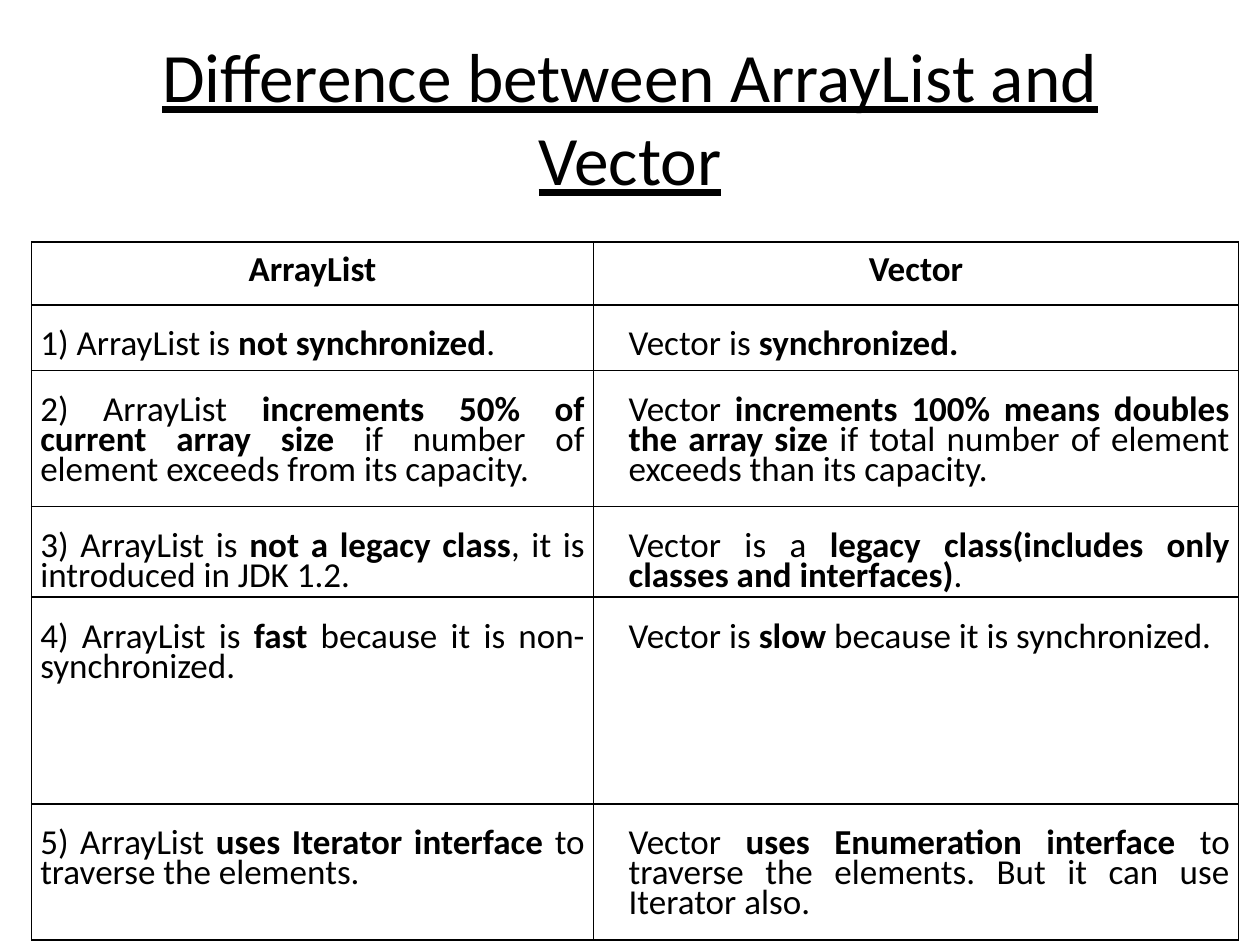
from dataclasses import dataclass

from lxml import etree
from pptx import Presentation
from pptx.dml.color import RGBColor
from pptx.enum.text import MSO_ANCHOR, PP_ALIGN
from pptx.oxml.ns import qn
from pptx.util import Inches, Pt

CENTER, JUSTIFY = PP_ALIGN.CENTER, PP_ALIGN.JUSTIFY
MIDDLE, TOP = MSO_ANCHOR.MIDDLE, MSO_ANCHOR.TOP
COLORS = {"text": "000000", "border": "000000", "background": "FFFFFF"}
FONT = "Calibri"
COLUMN_WIDTHS = (4.46, 5.12)
COLUMN_INDENTS = (0, 0.21)
BODY_SPACING = Pt(17.2)


@dataclass
class Row:
    height: float
    array_list: str
    vector: str


# Text between ** marks is bold.
HEADER = Row(0.5, "**ArrayList**", "**Vector**")
BODY = [
    Row(0.52, "1) ArrayList is **not synchronized**.",
        "Vector is **synchronized.**"),
    Row(1.08, "2) ArrayList **increments 50% of current array size **"
        "if number of element exceeds from its capacity.",
        "Vector** increments 100% means doubles the array size** "
        "if total number of element exceeds than its capacity."),
    Row(0.72, "3) ArrayList is **not a legacy class**, it is introduced in JDK 1.2.",
        "Vector is a **legacy class(includes only classes and interfaces)**."),
    Row(1.64, "4) ArrayList is** fast** because it is non-synchronized.",
        "Vector is** slow** because it is synchronized."),
    Row(1.08, "5) ArrayList **uses Iterator interface **to traverse the elements.",
        "Vector **uses Enumeration interface **to traverse the elements. "
        "But it can use Iterator also."),
]


def write_text(tf, text: str, *, size: float, align=CENTER, spacing=1.0,
               indent: float = 0, underline: bool = False) -> None:
    """Fill the first paragraph, switching bold at each ** mark."""
    p = tf.paragraphs[0]
    p.alignment = align
    p.line_spacing = spacing
    if indent:
        p._p.get_or_add_pPr().set("marL", str(Inches(indent)))
    for i, part in enumerate(text.split("**")):
        if part:
            r = p.add_run()
            r.text = part
            r.font.name = FONT
            r.font.size = Pt(size)
            r.font.bold = i % 2 == 1
            r.font.underline = underline
            r.font.color.rgb = RGBColor.from_string(COLORS["text"])


def add_borders(cell) -> None:
    tc_pr = cell._tc.get_or_add_tcPr()
    for side in ("lnL", "lnR", "lnT", "lnB"):
        line = etree.SubElement(tc_pr, qn(f"a:{side}"), w=str(Pt(1)))
        fill = etree.SubElement(line, qn("a:solidFill"))
        etree.SubElement(fill, qn("a:srgbClr"), val=COLORS["border"])


def format_cell(cell, top: float) -> None:
    cell.margin_left = cell.margin_right = Inches(0.07)
    cell.margin_top, cell.margin_bottom = Inches(top), 0
    cell.vertical_anchor = TOP
    add_borders(cell)
    cell.fill.background()


def add_title(s, text: str) -> None:
    sp = s.shapes.add_textbox(Inches(0.5), Inches(0.3), Inches(9), Inches(1.25))
    tf = sp.text_frame
    tf.word_wrap = True
    tf.vertical_anchor = MIDDLE
    write_text(tf, text, size=39.6, underline=True)


def add_comparison(s, header: Row, body: list[Row]) -> None:
    rows = [header, *body]
    height = sum(row.height for row in rows)
    table = s.shapes.add_table(
        len(rows), len(COLUMN_WIDTHS), Inches(0.25), Inches(1.92),
        Inches(sum(COLUMN_WIDTHS)), Inches(height)).table
    table.first_row = table.horz_banding = False
    for column, width in zip(table.columns, COLUMN_WIDTHS):
        column.width = Inches(width)
    for i, row in enumerate(rows):
        table.rows[i].height = Inches(row.height)
        for j, text in enumerate((row.array_list, row.vector)):
            cell = table.cell(i, j)
            if row is header:
                format_cell(cell, top=0)
                write_text(cell.text_frame, text, size=20, spacing=1.15)
            else:
                format_cell(cell, top=0.24)
                write_text(cell.text_frame, text, size=20, align=JUSTIFY,
                           spacing=BODY_SPACING, indent=COLUMN_INDENTS[j])


def main() -> None:
    prs = Presentation()
    prs.slide_width, prs.slide_height = Inches(10), Inches(7.5)
    s = prs.slides.add_slide(prs.slide_layouts[6])
    s.background.fill.solid()
    s.background.fill.fore_color.rgb = RGBColor.from_string(COLORS["background"])
    add_title(s, "Difference between ArrayList and Vector")
    add_comparison(s, HEADER, BODY)
    prs.save("out.pptx")


if __name__ == "__main__":
    main()
